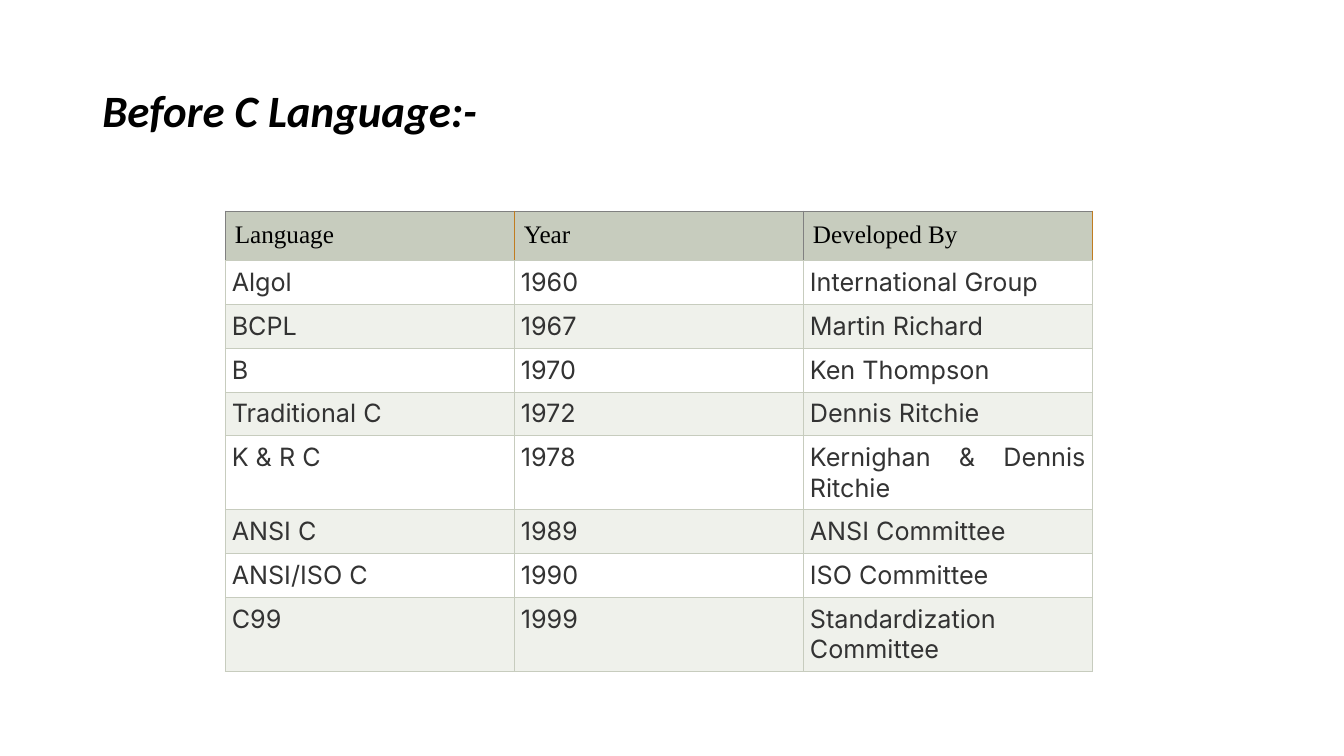
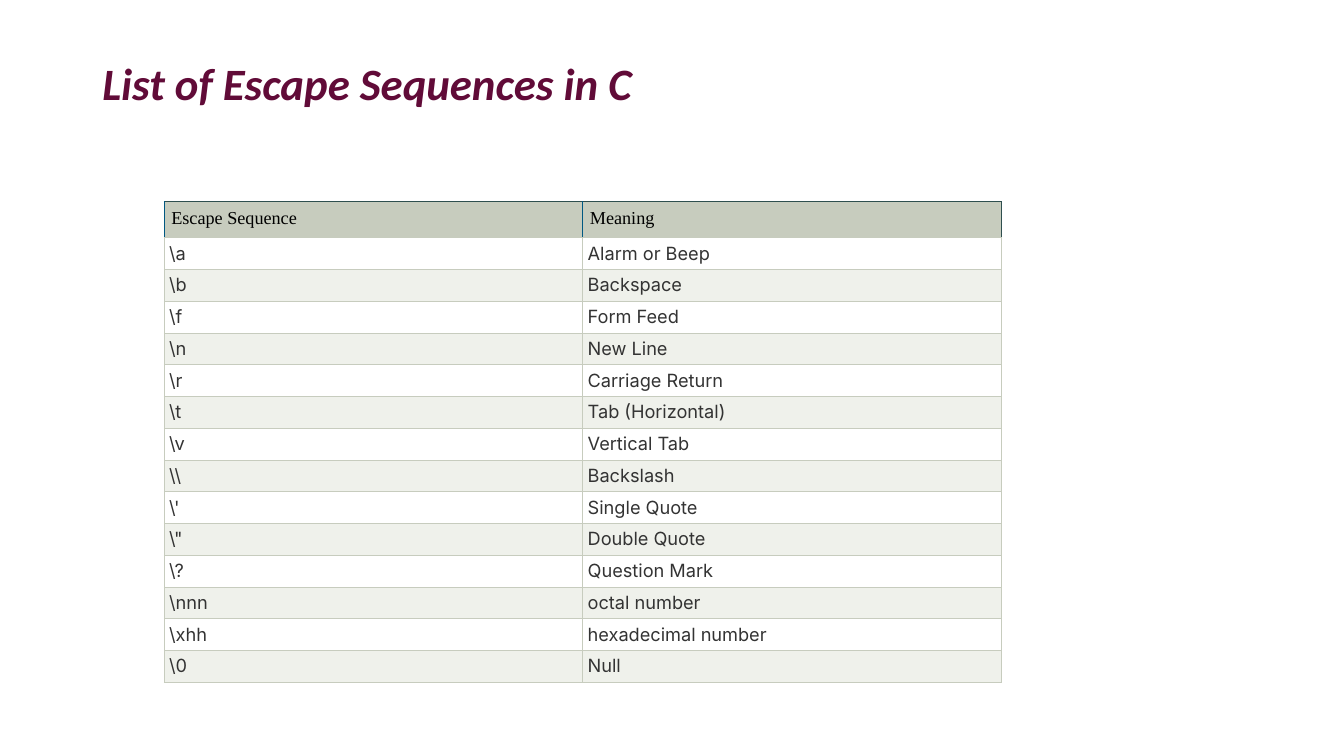
from lxml import etree
from pptx import Presentation
from pptx.dml.color import RGBColor
from pptx.enum.text import MSO_ANCHOR, PP_ALIGN
from pptx.oxml.ns import qn
from pptx.util import Pt

MIDDLE = MSO_ANCHOR.MIDDLE
LEFT = PP_ALIGN.LEFT
JUSTIFY = PP_ALIGN.JUSTIFY

COLORS = {
    "black": "000000",
    "plum": "610B38",
    "body": "333333",
    "sage": "C7CCBE",
    "white": "FFFFFF",
    "stripe": "EFF1EB",
    "orange": "C07C20",
    "gray": "808080",
    "blue": "005882",
    "slate": "2F4F4F",
}
TITLE_FONT = "Calibri"
HEADER_FONT = "Times New Roman"
BODY_FONT = "Inter"
BORDER_WIDTH = 0.6

LANGUAGES = [
    ("Language", "Year", "Developed By"),
    ("Algol", "1960", "International Group"),
    ("BCPL", "1967", "Martin Richard"),
    ("B", "1970", "Ken Thompson"),
    ("Traditional C", "1972", "Dennis Ritchie"),
    ("K & R C", "1978", "Kernighan & Dennis Ritchie"),
    ("ANSI C", "1989", "ANSI Committee"),
    ("ANSI/ISO C", "1990", "ISO Committee"),
    ("C99", "1999", "Standardization Committee"),
]
ESCAPES = [
    ("Escape Sequence", "Meaning"),
    (r"\a", "Alarm or Beep"),
    (r"\b", "Backspace"),
    (r"\f", "Form Feed"),
    (r"\n", "New Line"),
    (r"\r", "Carriage Return"),
    (r"\t", "Tab (Horizontal)"),
    (r"\v", "Vertical Tab"),
    (r"\\", "Backslash"),
    (r"\'", "Single Quote"),
    (r"\"", "Double Quote"),
    (r"\?", "Question Mark"),
    (r"\nnn", "octal number"),
    (r"\xhh", "hexadecimal number"),
    (r"\0", "Null"),
]


def rgb(name):
    return RGBColor.from_string(COLORS[name])


def style_text(paragraph, font_name, size, color, align):
    paragraph.alignment = align
    for run in paragraph.runs:
        run.font.name = font_name
        run.font.size = Pt(size)
        run.font.color.rgb = rgb(color)


def add_title(slide, text, color, box):
    frame = slide.shapes.add_textbox(*map(Pt, box)).text_frame
    frame.word_wrap = True
    frame.vertical_anchor = MIDDLE
    frame.text = text
    heading = frame.paragraphs[0]
    heading.line_spacing = 0.9
    style_text(heading, TITLE_FONT, 32, color, LEFT)
    heading.runs[0].font.bold = True
    heading.runs[0].font.italic = True


def set_borders(cell, left, right, top, bottom):
    properties = cell._tc.get_or_add_tcPr()
    for side, color in zip("LRTB", (left, right, top, bottom)):
        line = etree.SubElement(properties, qn(f"a:ln{side}"), w=str(Pt(BORDER_WIDTH)))
        fill = etree.SubElement(line, qn("a:solidFill"))
        etree.SubElement(fill, qn("a:srgbClr"), val=COLORS[color])


def fill_cell(cell, text, size, inset, is_header, fill):
    cell.text = text
    cell.margin_left = cell.margin_right = Pt(inset)
    cell.margin_top = cell.margin_bottom = Pt(inset)
    cell.fill.solid()
    cell.fill.fore_color.rgb = rgb(fill)
    paragraph = cell.text_frame.paragraphs[0]
    if is_header:
        style_text(paragraph, HEADER_FONT, size, "black", LEFT)
    else:
        style_text(paragraph, BODY_FONT, size, "body", JUSTIFY)


def add_grid(slide, entries, box, size, row_heights, insets, header_top, header_edges):
    columns = len(entries[0])
    table = slide.shapes.add_table(len(entries), columns, *map(Pt, box)).table
    table.first_row = False
    table.horz_banding = False
    for column in table.columns:
        column.width = Pt(box[2] / columns)
    for row_index, entry in enumerate(entries):
        is_header = row_index == 0
        table.rows[row_index].height = Pt(row_heights[row_index])
        edges = header_edges if is_header else ["sage"] * (columns + 1)
        top = header_top if is_header else "sage"
        fill = "sage" if is_header else ("stripe", "white")[row_index % 2]
        inset = insets[0] if is_header else insets[1]
        for column_index, text in enumerate(entry):
            cell = table.cell(row_index, column_index)
            set_borders(cell, edges[column_index], edges[column_index + 1], top, "sage")
            fill_cell(cell, text, size, inset, is_header, fill)


def build_languages_slide(slide):
    add_title(slide, "Before C Language:-", "black", (66, 28.8, 828, 104.4))
    single, double = 31.3, 52.9
    heights = [34.5] + [single] * 4 + [double] + [single] * 2 + [double]
    add_grid(slide, LANGUAGES, (160.8, 150.7, 619.5, 328.1), 18, heights,
             (6.9, 4.75), "gray", ["gray", "orange", "gray", "orange"])


def build_escapes_slide(slide):
    add_title(slide, "List of Escape Sequences in C", "plum", (66, 28.8, 828, 66))
    heights = [25.9] + [22.7] * (len(ESCAPES) - 1)
    add_grid(slide, ESCAPES, (117.3, 143.9, 598, 343.7), 13, heights,
             (5.1, 3.5), "slate", ["blue", "blue", "slate"])


def main():
    deck = Presentation()
    deck.slide_width = Pt(960)
    deck.slide_height = Pt(540)
    for build in (build_languages_slide, build_escapes_slide):
        build(deck.slides.add_slide(deck.slide_layouts[6]))
    deck.save("out.pptx")


if __name__ == "__main__":
    main()
